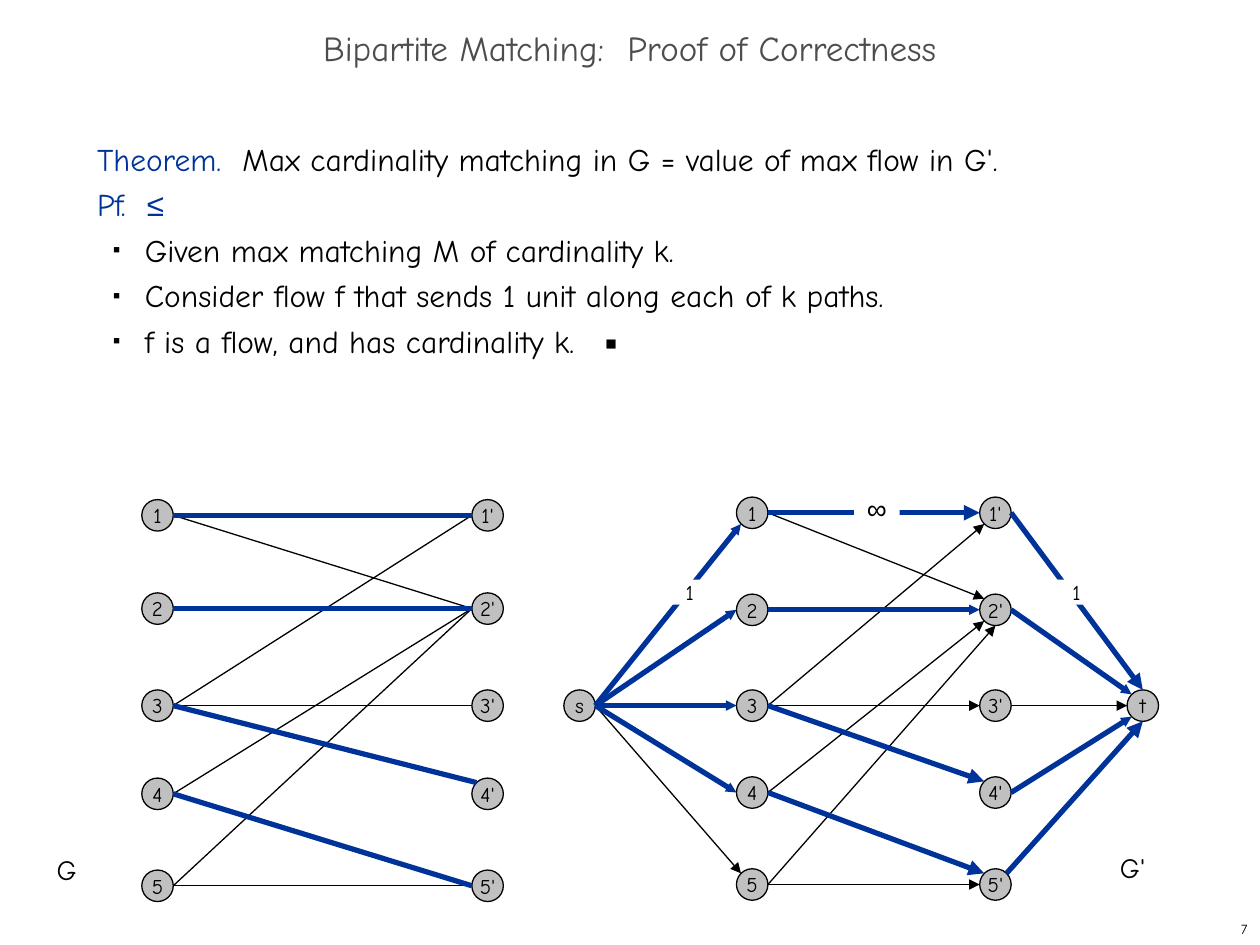
from lxml import etree
from pptx import Presentation
from pptx.dml.color import RGBColor
from pptx.enum.shapes import MSO_CONNECTOR as CONNECTOR, MSO_SHAPE as SHAPE
from pptx.enum.text import MSO_ANCHOR as ANCHOR, MSO_AUTO_SIZE as AUTO_SIZE, PP_ALIGN as ALIGN
from pptx.oxml.ns import qn
from pptx.util import Inches, Pt

FONT = "Comic Neue"
BLACK, BLUE, GRAY, WHITE = "000000", "003399", "C0C0C0", "FFFFFF"
NODE = 0.25
ROWS_G = (4.09, 4.83, 5.6, 6.3, 7.03)
ROWS_FLOW = (4.07, 4.84, 5.6, 6.29, 7.02)
# Where an edge meets a node, in node radii from the centre
DIAGONAL = 0.71
SITES = {"N": (0, -1), "S": (0, 1), "W": (-1, 0), "E": (1, 0),
         "NW": (-DIAGONAL, -DIAGONAL), "SW": (-DIAGONAL, DIAGONAL),
         "NE": (DIAGONAL, -DIAGONAL)}

# from, to, site at the end node
G_THIN = [("1", "2'", "W"), ("3", "1'", "W"), ("3", "3'", "W"),
          ("4", "2'", "W"), ("5", "2'", "W"), ("5", "5'", "W")]
G_MATCHING = [("1", "1'", "W"), ("2", "2'", "W"), ("3", "4'", "NW"), ("4", "5'", "W")]
FLOW_THIN = [("s", "5", "NW"), ("1", "2'", "NW"), ("3", "1'", "SW"), ("3", "3'", "W"),
             ("4", "2'", "SW"), ("5", "2'", "S"), ("5", "5'", "W"), ("3'", "t", "W")]
FLOW_SMALL_HEAD = [("s", "1", "SW"), ("s", "2", "W"), ("s", "3", "W"), ("s", "4", "W"),
                   ("2", "2'", "W"), ("2'", "t", "NW"), ("4'", "t", "SW")]
FLOW_LARGE_HEAD = [("1", "1'", "W"), ("3", "4'", "NW"), ("4", "5'", "NW"),
                   ("1'", "t", "N"), ("5'", "t", "S", "NE")]


def color(hex_code):
    return RGBColor.from_string(hex_code)


def place(shape, left, top, width, height):
    box = dict(left=left, top=top, width=width, height=height)
    for side, inches in box.items():
        setattr(shape, side, Inches(inches))


def add_run(paragraph, text, size, hex_code=BLACK, font=FONT):
    run = paragraph.add_run()
    run.text = text
    for name, value in dict(size=Pt(size), name=font).items():
        setattr(run.font, name, value)
    run.font.color.rgb = color(hex_code)


def set_frame(frame, margin=None, **formats):
    for name, value in dict(word_wrap=True, auto_size=AUTO_SIZE.NONE, **formats).items():
        setattr(frame, name, value)
    if margin is not None:
        for side in ("left", "right", "top", "bottom"):
            setattr(frame, f"margin_{side}", Inches(margin))


def add_title(slide, text):
    title = slide.shapes.title
    place(title, 0, 0.17, 10, 0.5)
    set_frame(title.text_frame, vertical_anchor=ANCHOR.MIDDLE)
    heading = title.text_frame.paragraphs[0]
    heading.alignment, heading.line_spacing = ALIGN.CENTER, 0.7
    add_run(heading, text, 20, "4D4D4D")


def set_bullet(paragraph, bulleted):
    props = paragraph._p.get_or_add_pPr()
    if not bulleted:
        props.set("marL", "0")
        props.set("indent", "0")
        etree.SubElement(props, qn("a:buNone"))
        return
    props.set("marL", str(Inches(0.38)))
    props.set("indent", str(Inches(-0.25)))
    bullet_color = etree.SubElement(props, qn("a:buClr"))
    etree.SubElement(bullet_color, qn("a:srgbClr"), val=BLACK)
    etree.SubElement(props, qn("a:buSzPct"), val="35000")
    etree.SubElement(props, qn("a:buFont"), typeface="Arial")
    etree.SubElement(props, qn("a:buChar"), char="■")
    tabs = etree.SubElement(props, qn("a:tabLst"))
    etree.SubElement(tabs, qn("a:tab"), pos=str(Inches(4.03)), algn="l")


def add_proof(slide):
    body = slide.placeholders[1]
    place(body, 0.67, 1, 8.58, 5.92)
    set_frame(body.text_frame, vertical_anchor=ANCHOR.TOP)
    lines = [
        (0, [("Theorem.  ", BLUE),
             ("Max cardinality matching in G = value of max flow in G'.", BLACK)]),
        (0, [("Pf.  ", BLUE), ("≤", BLUE, "Arial")]),
        (1, [("Given max matching M of cardinality k.", BLACK)]),
        (1, [("Consider flow f that sends 1 unit along each of k paths.", BLACK)]),
        (1, [("f is a flow, and has cardinality k.\t▪", BLACK)]),
    ]
    for index, (level, runs) in enumerate(lines):
        line = body.text_frame.add_paragraph() if index else body.text_frame.paragraphs[0]
        formats = dict(level=level, line_spacing=Pt(26), space_before=Pt(0), alignment=ALIGN.LEFT)
        for name, value in formats.items():
            setattr(line, name, value)
        set_bullet(line, bulleted=level == 1)
        for text, *look in runs:
            add_run(line, text, 18, *look)


def add_label(slide, text, box, size, align=ALIGN.LEFT, font=FONT, fill=None, margin=None,
              anchor=ANCHOR.TOP):
    label = slide.shapes.add_textbox(*map(Inches, box))
    set_frame(label.text_frame, margin, vertical_anchor=anchor)
    if fill:
        label.fill.solid()
        label.fill.fore_color.rgb = color(fill)
    label.text_frame.paragraphs[0].alignment = align
    add_run(label.text_frame.paragraphs[0], text, size, font=font)


def add_node(slide, name, center):
    x, y = center
    box = (x - NODE / 2, y - NODE / 2, NODE, NODE)
    node = slide.shapes.add_shape(SHAPE.OVAL, *map(Inches, box))
    node.shadow.inherit = False
    node.fill.solid()
    node.fill.fore_color.rgb = color(GRAY)
    node.line.color.rgb = color(BLACK)
    node.line.width = Pt(0.75)
    set_frame(node.text_frame, vertical_anchor=ANCHOR.MIDDLE)
    node.text_frame.word_wrap = False
    node.text_frame.paragraphs[0].alignment = ALIGN.CENTER
    add_run(node.text_frame.paragraphs[0], name, 12)


def node_site(center, site):
    return [Inches(c + NODE / 2 * shift) for c, shift in zip(center, SITES[site])]


def add_edges(slide, nodes, edges, bold=False, head=None):
    for start, end, end_site, *start_site in edges:
        edge = slide.shapes.add_connector(
            CONNECTOR.STRAIGHT,
            *node_site(nodes[start], start_site[0] if start_site else "E"),
            *node_site(nodes[end], end_site))
        edge.line.color.rgb = color(BLUE if bold else BLACK)
        edge.line.width = Pt(3 if bold else 0.75)
        if head:
            etree.SubElement(edge.line._get_or_add_ln(), qn("a:tailEnd"),
                             type="triangle", w=head, len=head)
        etree.SubElement(edge._element.spPr, qn("a:effectLst"))


def add_bipartite_nodes(slide, left, right, rows, extra=None):
    """Draw both node columns and any extra nodes; return all centres by name."""
    nodes = dict(extra or {})
    for number, y in enumerate(rows, 1):
        nodes[f"{number}"] = (left, y)
        nodes[f"{number}'"] = (right, y)
    for name, center in nodes.items():
        add_node(slide, name, center)
    return nodes


def main():
    deck = Presentation()
    deck.slide_width, deck.slide_height = Inches(10), Inches(7.5)
    slide = deck.slides.add_slide(deck.slide_layouts[1])
    add_title(slide, "Bipartite Matching:  Proof of Correctness")
    add_proof(slide)
    add_label(slide, "7", (7.92, 7.25, 2.08, 0.25), 8, ALIGN.RIGHT, anchor=ANCHOR.MIDDLE)

    middle = ROWS_FLOW[2]
    flow = add_bipartite_nodes(slide, 5.97, 7.9, ROWS_FLOW,
                               {"s": (4.6, middle), "t": (9.07, middle)})
    add_edges(slide, flow, FLOW_THIN, head="med")
    add_edges(slide, flow, FLOW_SMALL_HEAD, bold=True, head="sm")
    add_edges(slide, flow, FLOW_LARGE_HEAD, bold=True, head="med")
    capacity = dict(align=ALIGN.CENTER, fill=WHITE, margin=0)
    for left in (5.29, 8.36):
        add_label(slide, "1", (left, 4.6, 0.37, 0.2), 12, **capacity)
    add_label(slide, "∞", (6.78, 3.9, 0.36, 0.27), 16, font="Arial", **capacity)

    graph = add_bipartite_nodes(slide, 1.25, 3.87, ROWS_G)
    add_edges(slide, graph, G_THIN)
    add_edges(slide, graph, G_MATCHING, bold=True)
    add_label(slide, "G'", (8.79, 6.7, 0.61, 0.37), 16)
    add_label(slide, "G", (0.35, 6.72, 0.61, 0.37), 16)
    deck.save("out.pptx")


if __name__ == "__main__":
    main()
